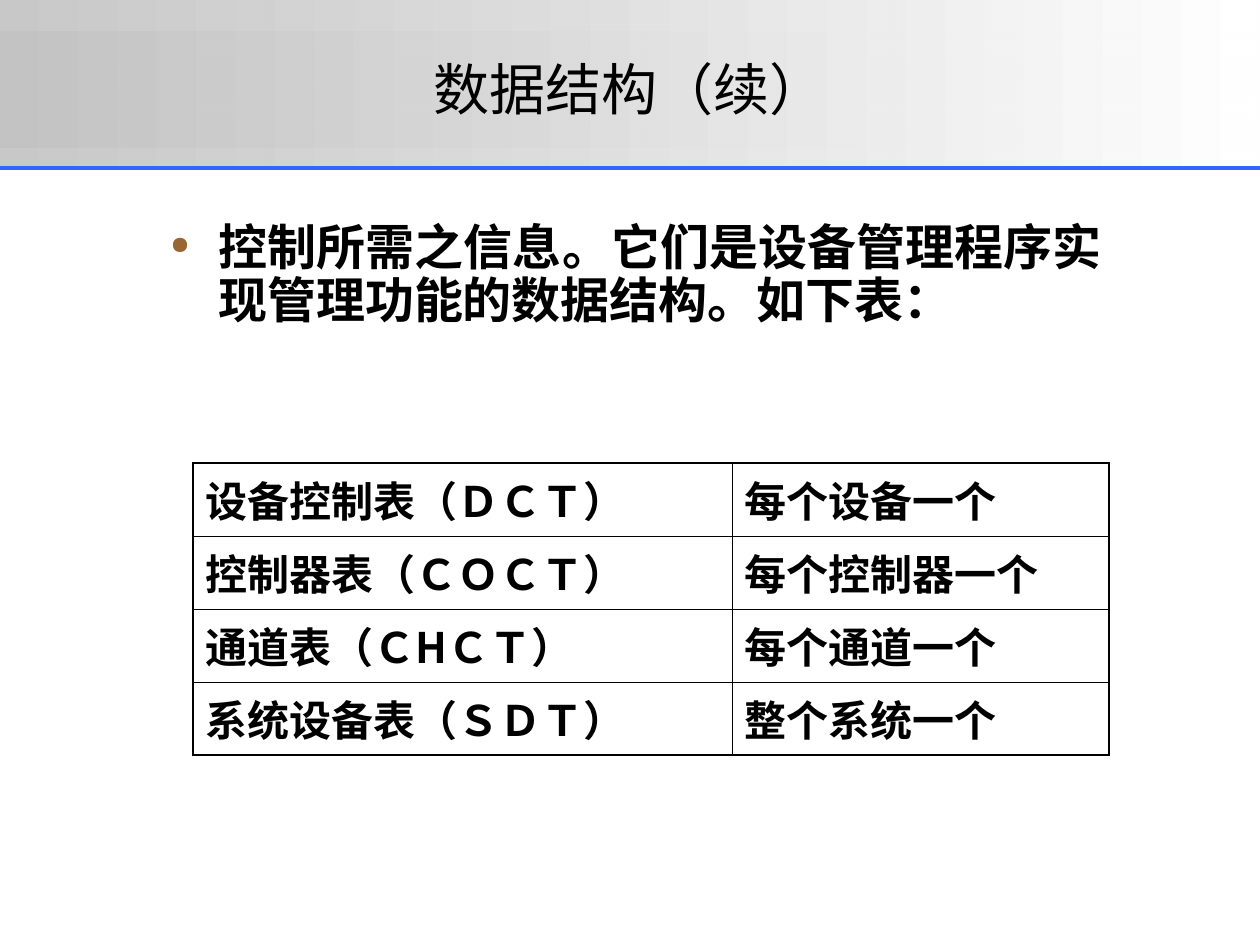
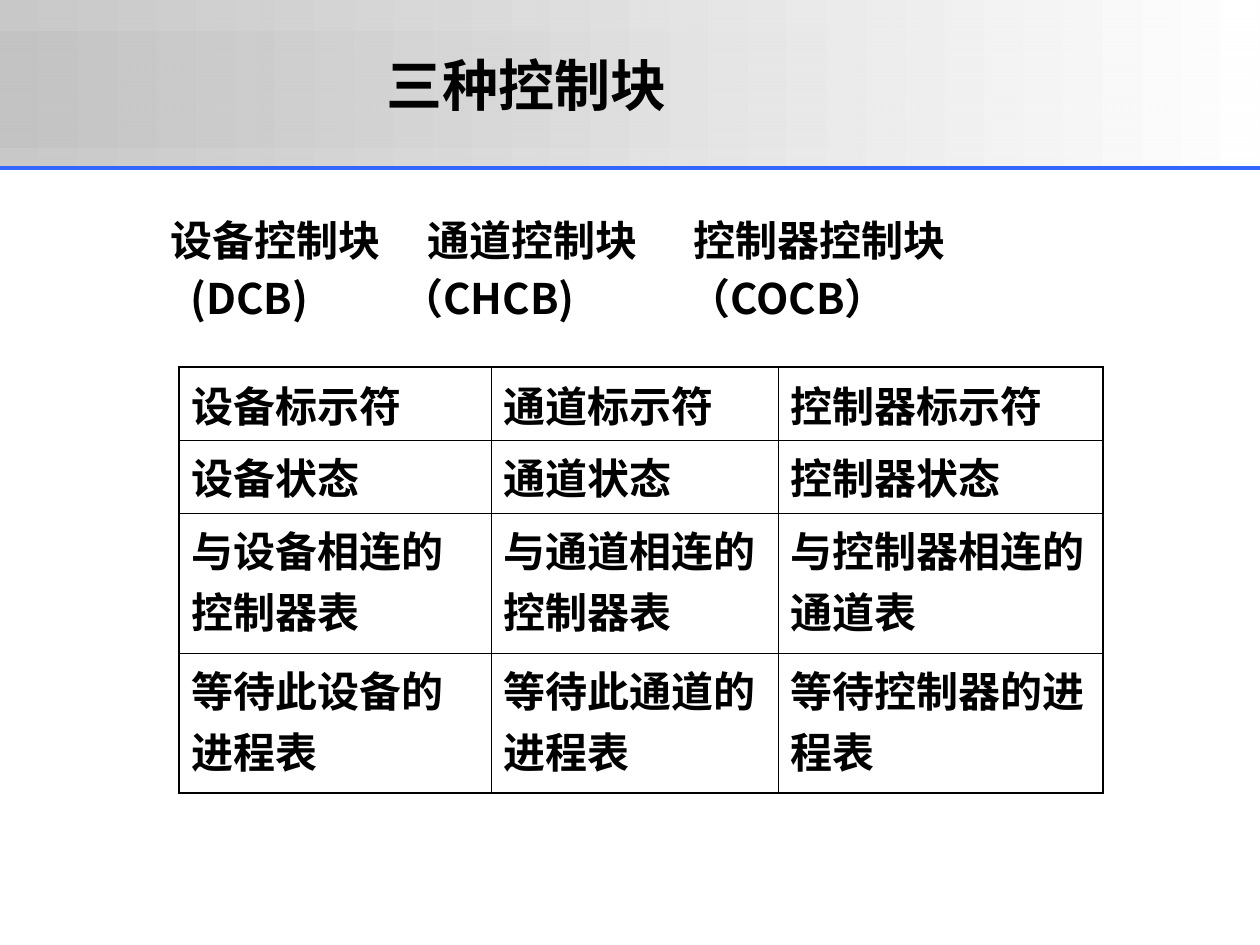
from lxml import etree
from pptx import Presentation
from pptx.dml.color import RGBColor
from pptx.enum.shapes import MSO_CONNECTOR, MSO_SHAPE
from pptx.enum.text import MSO_ANCHOR, PP_ALIGN
from pptx.oxml.ns import qn
from pptx.util import Pt

RECTANGLE = MSO_SHAPE.RECTANGLE
STRAIGHT = MSO_CONNECTOR.STRAIGHT
MIDDLE = MSO_ANCHOR.MIDDLE
LEFT, CENTER, JUSTIFY = PP_ALIGN.LEFT, PP_ALIGN.CENTER, PP_ALIGN.JUSTIFY

BLACK = RGBColor(0x00, 0x00, 0x00)
WHITE = RGBColor(0xFF, 0xFF, 0xFF)
SILVER = RGBColor(0xC0, 0xC0, 0xC0)
RULE_BLUE = RGBColor(0x33, 0x66, 0xFF)
BULLET_BROWN = RGBColor(0x99, 0x66, 0x33)
FONT = "Noto Sans CJK SC"
TITLE_ONLY = 5
OUTER_BORDER, INNER_BORDER = 1.08, 0.45

# Content: boxes are left, top, width, height in px
SLIDE_SIZE = (1260, 945)
BANDS = [  # box, opacity of the grey end in percent
    ((0, 0, 1260, 168), 86),
    ((0, 32, 1260, 116), 59),
]
RULE_Y = 168

SLIDES = [
    {
        "title": ("数据结构（续）", (168, 32, 924, 112), CENTER, False),
        "body_box": (158, 217, 957, 160),
        "bullet": "控制所需之信息。它们是设备管理程序实现管理功能的数据结构。如下表：",
        "table": {
            "at": (193, 463),
            "columns": (539, 377),
            "row_heights": (73, 73, 73, 73),
            "latin": FONT,
            "rows": [
                ("设备控制表（ＤＣＴ）", "每个设备一个"),
                ("控制器表（ＣＯＣＴ）", "每个控制器一个"),
                ("通道表（ＣHＣＴ）", "每个通道一个"),
                ("系统设备表（ＳＤＴ）", "整个系统一个"),
            ],
        },
    },
    {
        "title": ("三种控制块", (374, 32, 486, 104), LEFT, True),
        "body_box": (158, 214, 957, 145),
        "headings": [  # text, tab stops
            ("设备控制块\t通道控制块\t控制器控制块", (257, 523)),
            ("\t(DCB)\t（CHCB)\t（COCB）", (20, 231, 518)),
        ],
        "table": {
            "at": (179, 367),
            "columns": (312, 287, 325),
            "row_heights": (73, 73, 140, 140),
            "latin": "Arial",
            "rows": [
                ("设备标示符", "通道标示符", "控制器标示符"),
                ("设备状态", "通道状态", "控制器状态"),
                ("与设备相连的控制器表", "与通道相连的控制器表", "与控制器相连的通道表"),
                ("等待此设备的进程表", "等待此通道的进程表", "等待控制器的进程表"),
            ],
        },
    },
]


def px(length):
    return round(length * 914400 / 126)


def emu(box):
    return [px(length) for length in box]


def write(paragraph, text, size, bold=True, latin=FONT):
    run = paragraph.add_run()
    run.text = text
    for key, value in {"size": Pt(size), "bold": bold, "name": latin}.items():
        setattr(run.font, key, value)
    run.font.color.rgb = BLACK
    etree.SubElement(run._r.get_or_add_rPr(), qn("a:ea"), typeface=FONT)


# Shared background, kept on the layout
def add_background(slide):
    layout = slide.slide_layout
    for placeholder in list(layout.placeholders)[1:]:
        placeholder._element.getparent().remove(placeholder._element)
    parts = []
    for box, opacity in BANDS:
        band = slide.shapes.add_shape(RECTANGLE, *emu(box))
        band.shadow.inherit = False
        band.line.fill.background()
        band.fill.gradient()
        band.fill.gradient_angle = 0
        for stop, color in zip(band.fill.gradient_stops, (SILVER, WHITE)):
            stop.color.rgb = color
        grey = next(band._element.iter(qn("a:srgbClr")))
        etree.SubElement(grey, qn("a:alpha"), val=str(opacity * 1000))
        parts.append(band)
    rule = slide.shapes.add_connector(
        STRAIGHT, *emu((0, RULE_Y, SLIDE_SIZE[0], RULE_Y)))
    rule.line.color.rgb = RULE_BLUE
    rule.line.width = Pt(2.25)
    etree.SubElement(rule._element.spPr, qn("a:effectLst"))
    parts.append(rule)
    for index, part in enumerate(parts):
        layout.shapes._spTree.insert(2 + index, part._element)


def add_title(slide, text, box, align, bold):
    title = slide.shapes.title
    title.left, title.top, title.width, title.height = emu(box)
    title.text_frame.vertical_anchor = MIDDLE
    paragraph = title.text_frame.paragraphs[0]
    paragraph.alignment = align
    write(paragraph, text, 32, bold)


def add_body(slide, box):
    frame = slide.shapes.add_textbox(*emu(box)).text_frame
    frame.word_wrap = True
    return frame


def add_bullet(frame, text):
    paragraph = frame.paragraphs[0]
    properties = paragraph._p.get_or_add_pPr()
    properties.set("marL", str(px(48)))
    properties.set("indent", str(-px(48)))
    color = etree.SubElement(properties, qn("a:buClr"))
    etree.SubElement(color, qn("a:srgbClr"), val=str(BULLET_BROWN))
    etree.SubElement(properties, qn("a:buSzPct"), val="50000")
    etree.SubElement(properties, qn("a:buChar"), char="●")
    paragraph.alignment = JUSTIFY
    paragraph.line_spacing = 0.9
    write(paragraph, text, 28)


def add_headings(frame, headings):
    for index, (text, stops) in enumerate(headings):
        paragraph = frame.add_paragraph() if index else frame.paragraphs[0]
        tabs = etree.SubElement(paragraph._p.get_or_add_pPr(), qn("a:tabLst"))
        for stop in stops:
            etree.SubElement(tabs, qn("a:tab"), pos=str(px(stop)), algn="l")
        paragraph.line_spacing = 0.9
        if index:
            paragraph.space_before = Pt(7)
        write(paragraph, text, 24)


def add_border(cell, side, width):
    line = etree.SubElement(cell._tc.get_or_add_tcPr(), qn("a:ln" + side),
                            w=str(Pt(width)))
    fill = etree.SubElement(line, qn("a:solidFill"))
    etree.SubElement(fill, qn("a:srgbClr"), val=str(BLACK))


def add_grid(slide, at, columns, row_heights, latin, rows):
    box = (*at, sum(columns), sum(row_heights))
    table = slide.shapes.add_table(len(rows), len(columns), *emu(box)).table
    table.first_row = table.horz_banding = False
    for column, width in zip(table.columns, columns):
        column.width = px(width)
    for row, height in zip(table.rows, row_heights):
        row.height = px(height)
    for r, texts in enumerate(rows):
        for c, text in enumerate(texts):
            cell = table.cell(r, c)
            on_edge = {"L": c == 0, "R": c == len(columns) - 1,
                       "T": r == 0, "B": r == len(rows) - 1}
            for side, outer in on_edge.items():
                add_border(cell, side, OUTER_BORDER if outer else INNER_BORDER)
            cell.fill.background()
            write(cell.text_frame.paragraphs[0], text, 24, latin=latin)


def main():
    deck = Presentation()
    deck.slide_width, deck.slide_height = emu(SLIDE_SIZE)
    for number, content in enumerate(SLIDES):
        slide = deck.slides.add_slide(deck.slide_layouts[TITLE_ONLY])
        if number == 0:
            add_background(slide)
        add_title(slide, *content["title"])
        frame = add_body(slide, content["body_box"])
        if "bullet" in content:
            add_bullet(frame, content["bullet"])
        else:
            add_headings(frame, content["headings"])
        add_grid(slide, **content["table"])
    deck.save("out.pptx")


if __name__ == "__main__":
    main()
